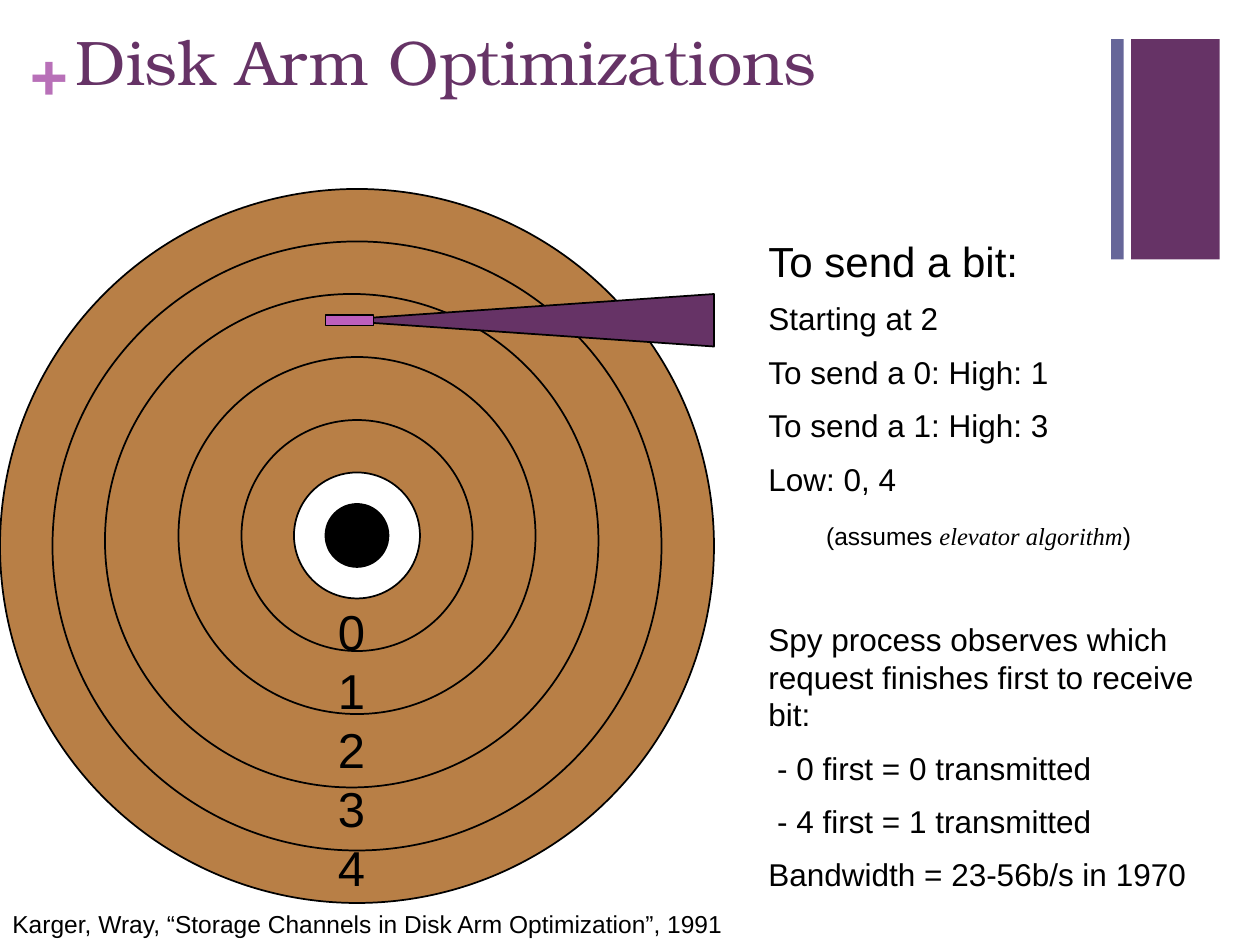
import pptx
import pptx.util
import pptx.dml.color
import pptx.enum.shapes
import pptx.enum.text

Pt = pptx.util.Pt
RGBColor = pptx.dml.color.RGBColor
MSO_SHAPE = pptx.enum.shapes.MSO_SHAPE
MSO_ANCHOR = pptx.enum.text.MSO_ANCHOR
PP_ALIGN = pptx.enum.text.PP_ALIGN

PURPLE = RGBColor(0x66, 0x33, 0x66)
SLATE = RGBColor(0x66, 0x66, 0x99)
ORCHID = RGBColor(0xB8, 0x70, 0xB8)
PINK = RGBColor(0xBC, 0x5F, 0xBC)
COPPER = RGBColor(0xB8, 0x7F, 0x46)
BLACK = RGBColor(0, 0, 0)
WHITE = RGBColor(0xFF, 0xFF, 0xFF)

TITLE_FONT = "TeX Gyre Bonum"
BODY_FONT = "Arial"
LINE_HEIGHT = 1.195

# text, size, space before, left indent
SEND_STEPS = [
    ("To send a bit:", 24, 0, 0),
    ("Starting at 2", 18, 8, 0),
    ("To send a 0: High: 1", 18, 9, 0),
    ("To send a 1: High: 3", 18, 9, 0),
    ("Low: 0, 4", 18, 9, 0),
    ("(assumes |elevator algorithm|)", 14, 13.5, 33),
    ("Spy process observes which request finishes first to receive bit:", 18, 40, 0),
    ("- 0 first = 0 transmitted", 18, 9, 5),
    ("- 4 first = 1 transmitted", 18, 9, 5),
    ("Bandwidth = 23-56b/s in 1970", 18, 9, 0),
]


def add_figure(slide, kind, box, fill=None, outlined=True):
    figure = slide.shapes.add_shape(kind, *map(Pt, box))
    figure.shadow.inherit = False
    if fill is None:
        figure.fill.background()
    else:
        figure.fill.solid()
        figure.fill.fore_color.rgb = fill
    if outlined:
        figure.line.color.rgb = BLACK
        figure.line.width = Pt(1)
    else:
        figure.line.fill.background()
    return figure


def set_font(font, name, size, color, bold=None):
    font.name, font.size, font.bold = name, Pt(size), bold
    font.color.rgb = color


def add_text_frame(slide, box, wrap=True):
    frame = slide.shapes.add_textbox(*map(Pt, box)).text_frame
    frame.word_wrap = wrap
    return frame


def build_heading(slide, box):
    title = slide.shapes.title
    title.left, title.top, title.width, title.height = map(Pt, box)
    title.text = "Disk Arm Optimizations"
    title.text_frame.vertical_anchor = MSO_ANCHOR.TOP
    heading = title.text_frame.paragraphs[0]
    heading.alignment = PP_ALIGN.LEFT
    set_font(heading.font, TITLE_FONT, 36, PURPLE)

    left, top = box[:2]
    plus = add_text_frame(slide, (left - 18.7, top + 8.6, 21, 44))
    plus.margin_left = plus.margin_right = plus.margin_top = plus.margin_bottom = 0
    plus.text = "+"
    set_font(plus.paragraphs[0].font, TITLE_FONT, 36, ORCHID, bold=True)


def build_corner_bars(slide, box):
    left, top, width, height = box
    wide_bar = 50.6
    add_figure(slide, MSO_SHAPE.RECTANGLE, (left, top, 7.2, height), SLATE, False)
    add_figure(slide, MSO_SHAPE.RECTANGLE,
               (left + width - wide_bar, top, wide_bar, height), PURPLE, False)


def build_disk(slide, box):
    left, top, size, _ = box
    # offset from the left, offset from the top, diameter
    circles = [
        (0, 0, size, COPPER),
        (30, 30, 348, None),
        (60, 60, 282, None),
        (102, 96, 204, None),
        (138, 132, 132, None),
        (168, 162, 72, WHITE),
        (186, 180, 36, BLACK),
    ]
    for dx, dy, diameter, fill in circles:
        add_figure(slide, MSO_SHAPE.OVAL,
                   (left + dx, top + dy, diameter, diameter), fill)

    tracks = add_text_frame(slide, (left + 186, top + 232, 30, 176), wrap=False)
    tracks.text = "\n".join(str(track) for track in range(5))
    for paragraph in tracks.paragraphs:
        paragraph.line_spacing = Pt(33.7)
        set_font(paragraph.font, BODY_FONT, 28, BLACK)


def build_arm(slide, box):
    """Draw the arm as a triangle pointing left, with the head at its tip."""
    left, top, width, height = box
    reach = width - 5
    arm_left = left + width - reach
    arm = add_figure(slide, MSO_SHAPE.ISOSCELES_TRIANGLE,
                     (arm_left + (reach - height) / 2, top + (height - reach) / 2,
                      height, reach), PURPLE)
    arm.rotation = 270
    add_figure(slide, MSO_SHAPE.RECTANGLE,
               (left, top + height / 2 - 3, 27.4, 6), PINK)


def build_explanation(slide, box):
    frame = add_text_frame(slide, box)
    for number, (text, size, before, indent) in enumerate(SEND_STEPS):
        paragraph = frame.add_paragraph() if number else frame.paragraphs[0]
        paragraph.space_before = Pt(before)
        paragraph.line_spacing = Pt(round(size * LINE_HEIGHT, 1))
        set_font(paragraph.font, BODY_FONT, size, BLACK)
        if indent:
            paragraph._p.get_or_add_pPr().set("marL", str(Pt(indent)))
        for position, part in enumerate(text.split("|")):
            run = paragraph.add_run()
            run.text = part
            if position == 1:
                run.font.name = "Times New Roman"
                run.font.italic = True


def build_citation(slide, box):
    citation = add_figure(slide, MSO_SHAPE.RECTANGLE, box, WHITE, False)
    frame = citation.text_frame
    frame.word_wrap = True
    frame.vertical_anchor = MSO_ANCHOR.MIDDLE
    frame.text = "Karger, Wray, “Storage Channels in Disk Arm Optimization”, 1991"
    paragraph = frame.paragraphs[0]
    paragraph.alignment = PP_ALIGN.LEFT
    set_font(paragraph.font, BODY_FONT, 14, BLACK)


def main():
    presentation = pptx.Presentation()
    presentation.slide_width, presentation.slide_height = Pt(720), Pt(540)
    slide = presentation.slides.add_slide(presentation.slide_layouts[5])
    build_corner_bars(slide, (635, 22.3, 62, 126))
    build_heading(slide, (36, 9.4, 648, 90))
    build_citation(slide, (0, 516, 456, 24))
    build_disk(slide, (0, 108, 408, 408))
    build_arm(slide, (186, 168, 222, 30))
    build_explanation(slide, (432, 131, 276, 408))
    presentation.save("out.pptx")


if __name__ == "__main__":
    main()
